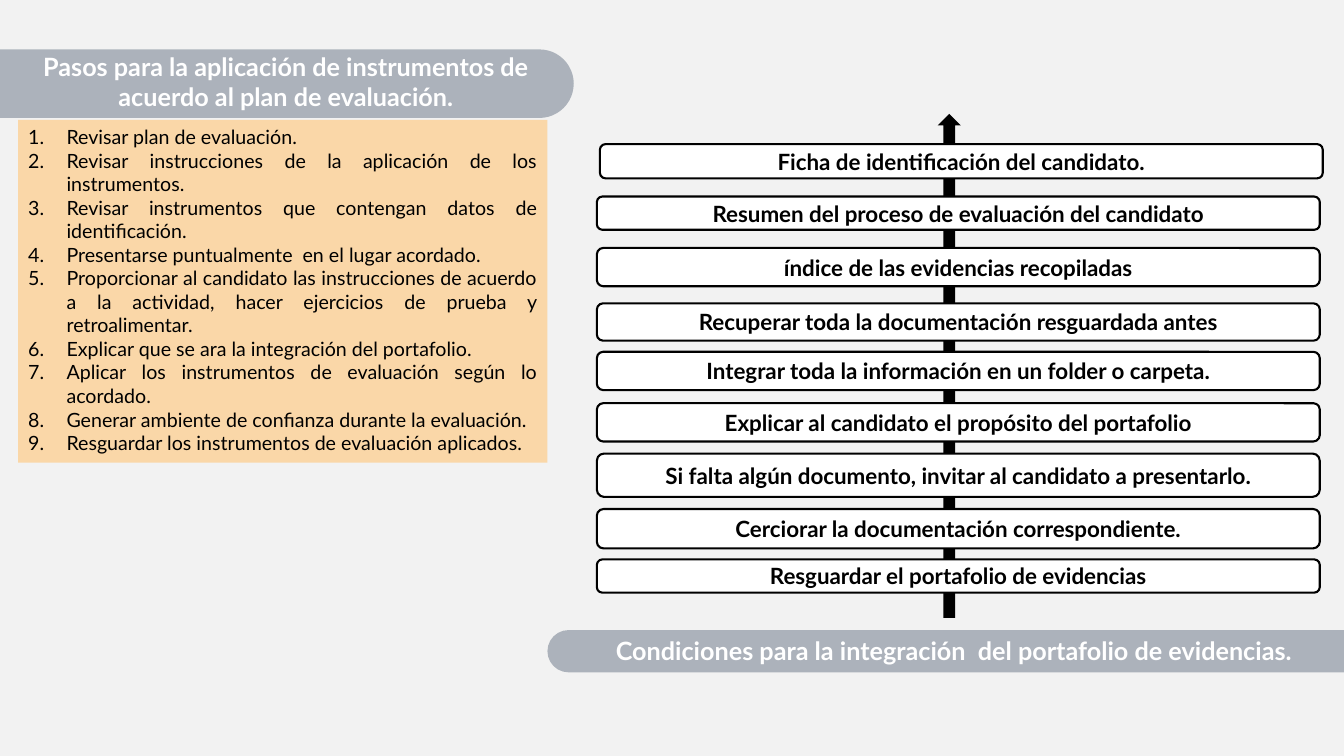
from lxml import etree
from pptx import Presentation
from pptx.dml.color import RGBColor
from pptx.enum.shapes import MSO_SHAPE as SHAPE
from pptx.enum.text import MSO_ANCHOR as ANCHOR, MSO_AUTO_SIZE as AUTOSIZE, PP_ALIGN as ALIGN
from pptx.oxml.ns import qn
from pptx.util import Inches, Pt

FONT = "Lato"
BLACK = RGBColor(0x00, 0x00, 0x00)
WHITE = RGBColor(0xFF, 0xFF, 0xFF)
GRAY = RGBColor(0xF2, 0xF2, 0xF2)
SLATE = RGBColor(0x44, 0x54, 0x69)
PEACH = RGBColor(0xFA, 0xD7, 0xA8)

STEPS = [
    "Revisar plan de evaluación.",
    "Revisar instrucciones de la aplicación de los instrumentos.",
    "Revisar instrumentos que contengan datos de identificación.",
    "Presentarse puntualmente  en el lugar acordado.",
    "Proporcionar al candidato las instrucciones de acuerdo a la actividad, "
    "hacer ejercicios de prueba y retroalimentar.",
    "Explicar que se ara la integración del portafolio.",
    "Aplicar los instrumentos de evaluación según lo acordado.",
    "Generar ambiente de confianza durante la evaluación.",
    "Resguardar los instrumentos de evaluación aplicados.",
]

# Left, top, height, text
CONDITIONS = [
    (5.95, 1.43, 0.34, "Ficha de identificación del candidato."),
    (5.92, 1.95, 0.33, "Resumen del proceso de evaluación del candidato"),
    (5.92, 2.46, 0.38, "índice de las evidencias recopiladas"),
    (5.92, 3.01, 0.37, "Recuperar toda la documentación resguardada antes"),
    (5.92, 3.49, 0.38, "Integrar toda la información en un folder o carpeta."),
    (5.92, 4.00, 0.38, "Explicar al candidato el propósito del portafolio"),
    (5.92, 4.50, 0.43, "Si falta algún documento, invitar al candidato a presentarlo."),
    (5.92, 5.05, 0.39, "Cerciorar la documentación correspondiente."),
    (5.92, 5.55, 0.33, "Resguardar el portafolio de evidencias"),
]


class SlideBuilder:
    def __init__(self, s):
        self.s = s

    def shape(self, kind, left, top, width, height, color):
        sp = self.s.shapes.add_shape(
            kind, Inches(left), Inches(top), Inches(width), Inches(height))
        sp.shadow.inherit = False
        sp.fill.solid()
        sp.fill.fore_color.rgb = color
        sp.line.fill.background()
        return sp

    def banner(self, left, top, width, height, rotation):
        """Band with one round end, drawn upright and turned about its centre."""
        sp = self.shape(SHAPE.ROUND_2_SAME_RECTANGLE, left + (width - height) / 2,
                        top + (height - width) / 2, height, width, SLATE)
        sp.rotation = rotation
        sp.adjustments[0] = 0.5
        sp.adjustments[1] = 0
        color = sp.element.spPr.find(qn("a:solidFill"))[0]
        etree.SubElement(color, qn("a:alpha")).set("val", "40000")

    def place(self, sp, left, top, width, height):
        """Set the box of a text holder and bring it to the front."""
        sp.left, sp.top = Inches(left), Inches(top)
        sp.width, sp.height = Inches(width), Inches(height)
        tree = sp.element.getparent()
        tree.append(sp.element)

    def add_text(self, sp, lines, size, color, bold=True,
                 align=ALIGN.CENTER, anchor=ANCHOR.TOP):
        tf = sp.text_frame
        tf.word_wrap = True
        tf.auto_size = AUTOSIZE.NONE
        tf.vertical_anchor = anchor
        for i, line in enumerate(lines):
            p = tf.add_paragraph() if i else tf.paragraphs[0]
            p.alignment = align
            p.space_before = Pt(0)
            r = p.add_run()
            r.text = line
            r.font.name = FONT
            r.font.size = Pt(size)
            r.font.bold = bold
            r.font.color.rgb = color
        return tf

    def heading(self, sp, text, *box):
        self.place(sp, *box)
        self.add_text(sp, [text], 18, WHITE)

    def numbered_list(self, sp, lines, *box):
        self.place(sp, *box)
        sp.fill.solid()
        sp.fill.fore_color.rgb = PEACH
        tf = self.add_text(sp, lines, 14, BLACK, bold=False, align=ALIGN.JUSTIFY)
        for p in tf.paragraphs:
            pPr = p._p.get_or_add_pPr()
            pPr.set("marL", str(Inches(0.38)))
            pPr.set("indent", str(Inches(-0.38)))
            etree.SubElement(pPr, qn("a:buFont")).set("typeface", FONT)
            etree.SubElement(pPr, qn("a:buAutoNum")).set("type", "arabicPeriod")

    def condition(self, left, top, height, text):
        sp = self.shape(SHAPE.ROUNDED_RECTANGLE, left, top, 7.17, height, WHITE)
        sp.line.color.rgb = BLACK
        sp.line.width = Pt(1.5)
        self.add_text(sp, [text], 16, BLACK, anchor=ANCHOR.MIDDLE)


def main():
    prs = Presentation()
    prs.slide_width, prs.slide_height = Inches(13.33), Inches(7.5)
    s = prs.slides.add_slide(prs.slide_layouts[1])
    b = SlideBuilder(s)

    # Backdrop, banners and upward arrow
    b.shape(SHAPE.FLOWCHART_PROCESS, 0, 0, 13.33, 7.5, GRAY)
    b.banner(5.43, 6.25, 7.9, 0.42, 270)
    b.shape(SHAPE.UP_ARROW, 9.3, 1.13, 0.23, 5, BLACK)
    b.banner(0, 0.49, 5.69, 0.68, 90)

    # Steps
    b.heading(s.shapes.title,
              "Pasos para la aplicación de instrumentos de acuerdo al plan de evaluación.",
              0.23, 0.46, 5.21, 0.71)
    b.numbered_list(s.placeholders[1], STEPS, 0.18, 1.19, 5.25, 3.4)

    # Conditions
    b.heading(s.shapes.add_textbox(0, 0, 0, 0),
              "Condiciones para la integración  del portafolio de evidencias.",
              5.62, 6.25, 7.68, 0.4)
    for item in CONDITIONS:
        b.condition(*item)

    prs.save("out.pptx")


if __name__ == "__main__":
    main()
